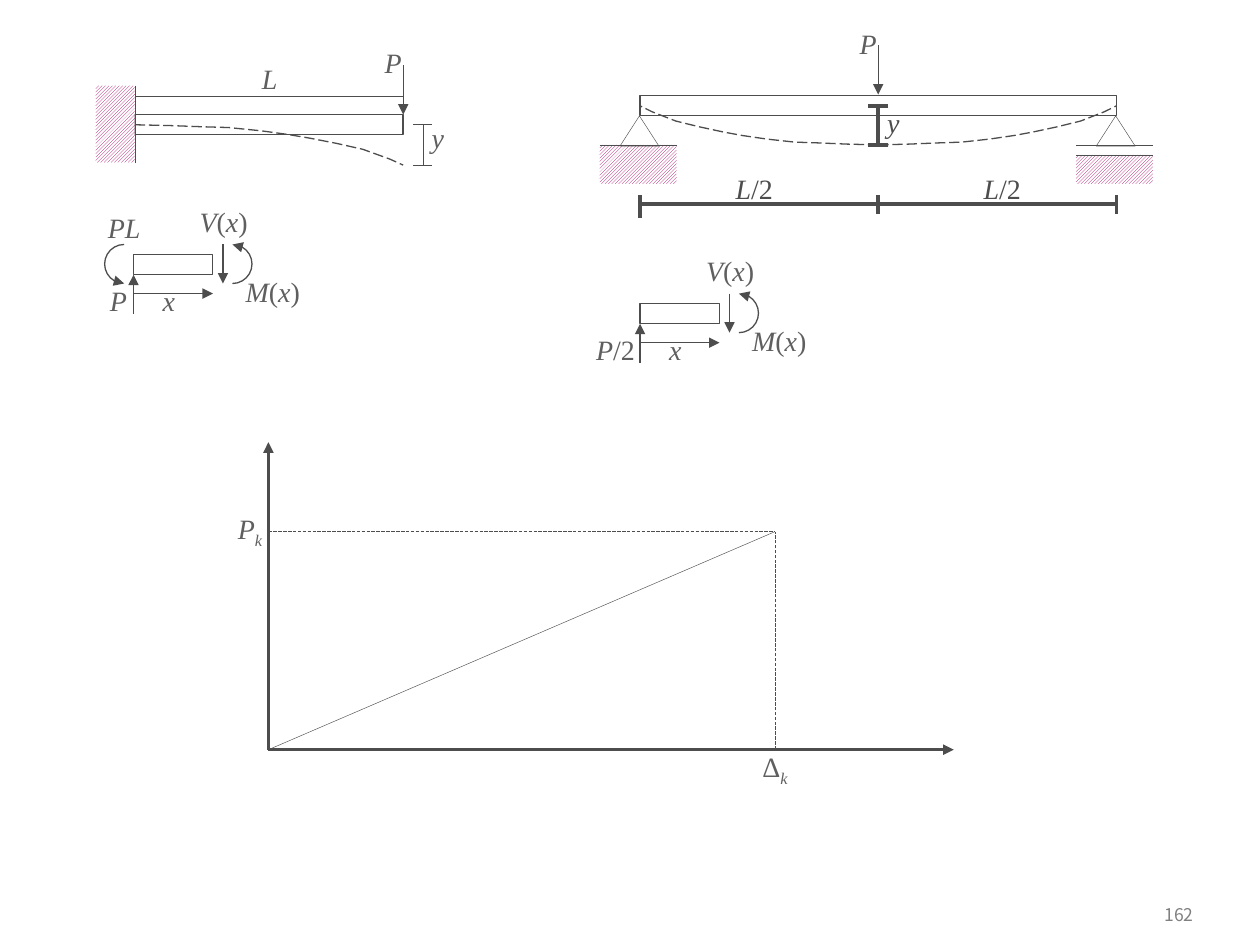
"""Draw two loaded beams, their cut parts and a load chart."""
from itertools import groupby
from typing import NamedTuple

from pptx import Presentation
from pptx.dml.color import RGBColor
from pptx.enum.dml import MSO_LINE, MSO_PATTERN
from pptx.enum.shapes import MSO_CONNECTOR, MSO_SHAPE
from pptx.enum.text import MSO_ANCHOR, MSO_AUTO_SIZE, PP_ALIGN
from pptx.oxml.ns import qn
from pptx.util import Inches, Pt
from lxml import etree

RECT, CONE, ARC = MSO_SHAPE.RECTANGLE, MSO_SHAPE.ISOSCELES_TRIANGLE, MSO_SHAPE.ARC
DASH, HATCH = MSO_LINE.LONG_DASH, MSO_PATTERN.LIGHT_UPWARD_DIAGONAL
STRAIGHT = MSO_CONNECTOR.STRAIGHT
LEFT, RIGHT, MID = PP_ALIGN.LEFT, PP_ALIGN.RIGHT, PP_ALIGN.CENTER
CENTER = MSO_ANCHOR.MIDDLE
GROW = MSO_AUTO_SIZE.SHAPE_TO_FIT_TEXT
INK, GREY, PINK, WHITE, PALE = "4D4D4D", "5F5F5F", "A90165", "FFFFFF", "808080"
SERIF, SANS = "Times New Roman", "Noto Sans CJK KR"
HAIR, THIN, BOLD = 0, 0.25, 0.75
SAG = [(0, 0), (0.13, 0.02), (0.25, 0.05), (0.35, 0.07), (0.41, 0.11),
       (0.47, 0.15), (0.57, 0.24), (0.65, 0.33), (0.75, 0.46),
       (0.85, 0.61), (0.9, 0.73), (0.95, 0.85), (1, 1)]


class Line(NamedTuple):
    x1: float
    y1: float
    x2: float
    y2: float
    width: float = THIN
    arrow: bool = False
    dash: bool = False


class Label(NamedTuple):
    text: str
    x: float
    y: float
    wide: float = 0.24
    color: str = GREY
    sub: str = ""
    align: PP_ALIGN = MID


def paint(code: str) -> RGBColor:
    return RGBColor.from_string(code)


def stroke(item, width: float, arrow: bool = False, dash: bool = False) -> None:
    item.line.color.rgb = paint(INK)
    item.line.width = Pt(width)
    if dash:
        item.line.dash_style = DASH
    if arrow:
        edge = item.element.spPr.find(qn("a:ln"))
        etree.SubElement(edge, qn("a:tailEnd"), type="triangle")


def rule(shapes, *lines: Line) -> None:
    for line in lines:
        ends = [Inches(v) for v in line[:4]]
        item = shapes.add_connector(STRAIGHT, *ends)
        stroke(item, line.width, line.arrow, line.dash)
        etree.SubElement(item.element.spPr, qn("a:effectLst"))


def block(shapes, kind: MSO_SHAPE, x: float, y: float, wide: float, high: float,
          fill: str = "", width: float = BOLD, arrow: bool = False):
    item = shapes.add_shape(kind, *[Inches(v) for v in (x, y, wide, high)])
    item.shadow.inherit = False
    if fill:
        item.fill.solid()
        item.fill.fore_color.rgb = paint(fill)
    else:
        item.fill.background()
    stroke(item, width, arrow)
    return item


def ground(shapes, x: float, y: float, wide: float, high: float) -> None:
    item = block(shapes, RECT, x, y, wide, high)
    item.fill.patterned()
    item.fill.pattern = HATCH
    item.fill.fore_color.rgb = paint(PINK)
    item.fill.back_color.rgb = paint(WHITE)
    item.line.fill.background()


def turn(shapes, x: float, y: float, angle: int) -> None:
    item = block(shapes, ARC, x, y, 0.31, 0.31, arrow=True)
    item.adjustments[0] = 107.988
    item.adjustments[1] = 0
    item.rotation = angle
    item.element.spPr.find(qn("a:xfrm")).set("flipH", "1")


def bend(shapes, x: float, y: float, wide: float, drop: float) -> None:
    spots = [(Inches(x + wide * u), Inches(y + drop * v)) for u, v in SAG]
    path = shapes.build_freeform(*spots[0])
    path.add_line_segments(spots[1:], close=False)
    item = path.convert_to_shape()
    item.shadow.inherit = False
    item.fill.background()
    stroke(item, BOLD, dash=True)


def slants(char: str) -> bool:
    return char.isascii() and char.isalpha()


def write(shapes, text: str, x: float, y: float, wide: float, *, high: float = 0.27,
          color: str = GREY, sub: str = "", align: PP_ALIGN = MID,
          size: float = 16, font: str = SERIF, inset: bool = False):
    box = shapes.add_textbox(*[Inches(v) for v in (x, y, wide, high)])
    frame = box.text_frame
    frame.word_wrap = True
    if inset:
        frame.vertical_anchor = CENTER
    else:
        frame.auto_size = GROW
        frame.margin_left = frame.margin_right = 0
        frame.margin_top = frame.margin_bottom = 0
    para = frame.paragraphs[0]
    para.alignment = align
    parts = [(lean, "".join(part)) for lean, part in groupby(text, slants)]
    if sub:
        parts.append((True, sub))
    for lean, part in parts:
        run = para.add_run()
        run.text = part
        run.font.size = Pt(size)
        run.font.name = font
        run.font.italic = lean
        run.font.color.rgb = paint(color)
    if sub:
        list(box.element.iter(qn("a:rPr")))[-1].set("baseline", "-25000")


def name(shapes, *labels: Label) -> None:
    for tag in labels:
        write(shapes, tag.text, tag.x, tag.y, tag.wide, color=tag.color,
              sub=tag.sub, align=tag.align)


def fixed(shapes) -> None:
    """Draw the beam held at its left end."""
    x, end, top, mid, low = 1.07, 3.2, 0.91, 0.99, 1.31
    rule(shapes, Line(x, 0.76, end, 0.76), Line(end, 0.68, end, 0.84))
    block(shapes, RECT, x, top, end - x, 0.16, WHITE)
    bend(shapes, x, mid, end - x, low - mid)
    ground(shapes, 0.76, 0.68, 0.31, 0.61)
    rule(shapes, Line(end, 0.52, end, top, BOLD, True), Line(x, 0.68, x, 1.29),
         Line(3.28, mid, 3.43, mid), Line(3.28, low, 3.43, low),
         Line(3.36, mid, 3.36, low))
    name(shapes, Label("P", 3.04, 0.36, 0.16), Label("y", 3.36, 0.96, 0.23),
         Label("L", 2.02, 0.49))


def propped(shapes) -> None:
    """Draw the beam on two props."""
    x, mid, end, top, low = 5.08, 6.97, 8.86, 0.84, 1.15
    rule(shapes, Line(mid, 0.36, mid, 0.75, BOLD, True), Line(mid, low, mid, top, HAIR),
         Line(x, 1.73, x, 1.55, HAIR), Line(end, 1.62, x, 1.62, HAIR))
    rule(shapes, *[Line(v, 1.7, v, 1.55, HAIR) for v in (mid, end)])
    rule(shapes, *[Line(7.05, v, 6.89, v, HAIR) for v in (top, low)])
    block(shapes, RECT, x, 0.76, end - x, 0.16)
    for spot, base in ((x, low), (end, 1.23)):
        left = spot - 0.32
        ground(shapes, left, base, 0.61, 1.46 - base)
        rule(shapes, *[Line(left, v, left + 0.61, v) for v in sorted({low, base})])
        block(shapes, CONE, spot - 0.16, 0.92, 0.31, 0.24, width=THIN)
    for reach in (x - mid, end - mid):
        bend(shapes, mid, low, reach, top - low)
    name(shapes, Label("P", 6.81, 0.21, 0.16), Label("y", mid, top, color=INK),
         *[Label("L/2", v, 1.36, 0.39, INK) for v in (5.79, 7.76)])


def cut(shapes, x: float, y: float, force: str, wide: float) -> None:
    """Draw a cut part of a beam with its forces."""
    rule(shapes, Line(x, y + 0.39, x + 0.63, y + 0.39, THIN, True))
    block(shapes, RECT, x, y + 0.08, 0.63, 0.16, WHITE)
    rule(shapes, Line(x + 0.71, y, x + 0.71, y + 0.31, BOLD, True),
         Line(x, y + 0.55, x, y + 0.24, BOLD, True))
    turn(shapes, x + 0.63, y, 90)
    name(shapes, Label(force, x - wide, y + 0.31, wide), Label("x", x + 0.16, y + 0.31),
         Label("M(x)", x + 0.87, y + 0.24, 0.47), Label("V(x)", x + 0.48, y - 0.32, 0.47))


def chart(shapes) -> None:
    """Draw load against sag."""
    x, y, far, peak = 2.13, 5.95, 6.15, 4.22
    rule(shapes, Line(x, y, x, 3.51, HAIR, True), Line(x, y, 7.57, y, HAIR, True),
         Line(x, peak, far, peak, dash=True), Line(far, y, far, peak, dash=True),
         Line(x, y, far, peak))
    name(shapes, Label("Δ", 5.91, y, 0.48, sub="k"),
         Label("P", 1.61, 4.06, 0.47, sub="k", align=RIGHT))


def main() -> None:
    deck = Presentation()
    deck.slide_width, deck.slide_height = Inches(10), Inches(7.5)
    shapes = deck.slides.add_slide(deck.slide_layouts[6]).shapes
    write(shapes, "162", 8.86, 7.09, 0.71, high=0.33, color=PALE, align=RIGHT,
          size=10, font=SANS, inset=True)
    held, part, span, half, graph = [shapes.add_group_shape().shapes for _ in range(5)]
    fixed(held)
    cut(part, 1.06, 1.94, "P", 0.24)
    turn(part, 0.83, 1.94, 270)
    name(part, Label("PL", 0.83, 1.67, 0.31))
    propped(span)
    cut(half, 5.08, 2.33, "P/2", 0.39)
    chart(graph)
    deck.save("out.pptx")


if __name__ == "__main__":
    main()
